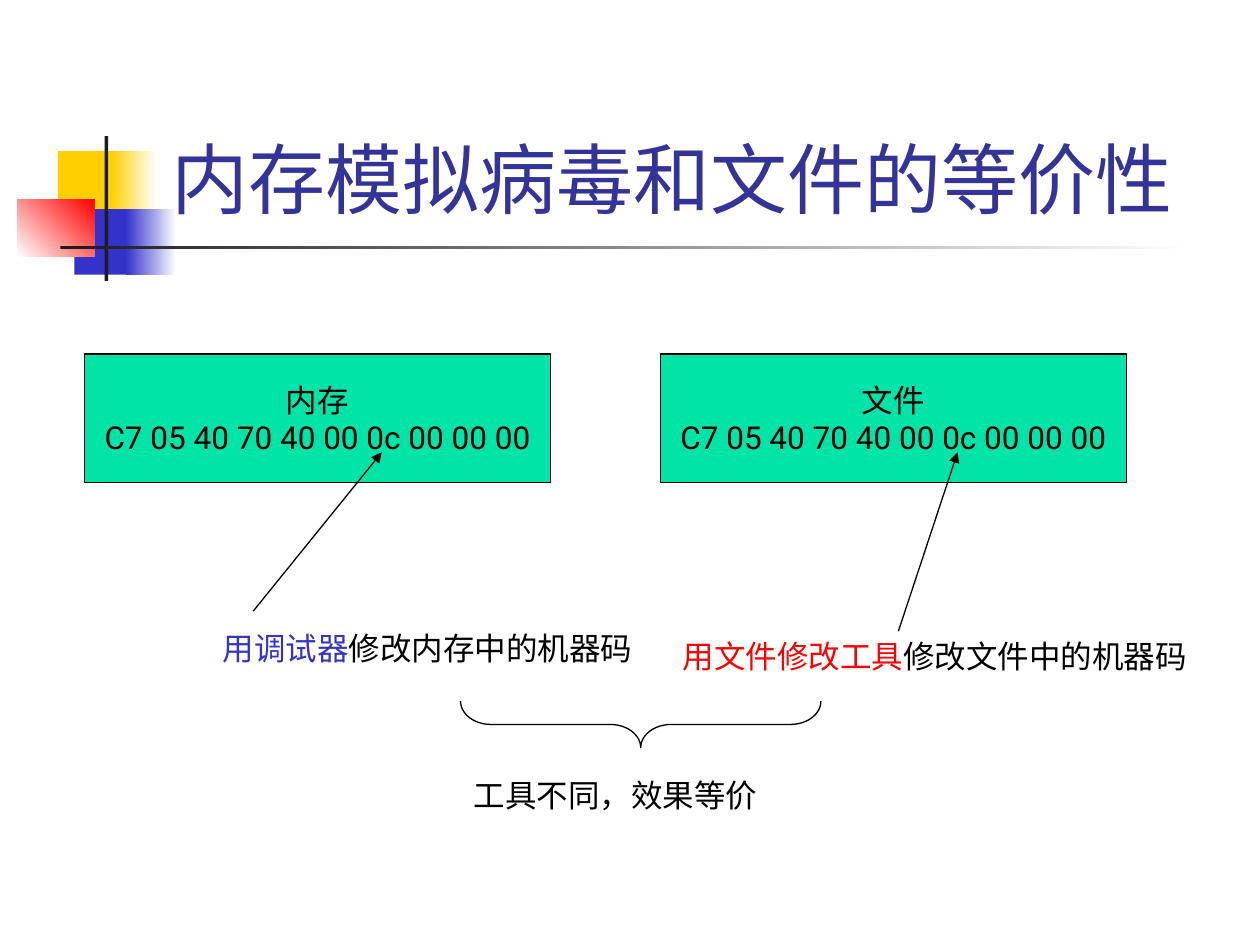
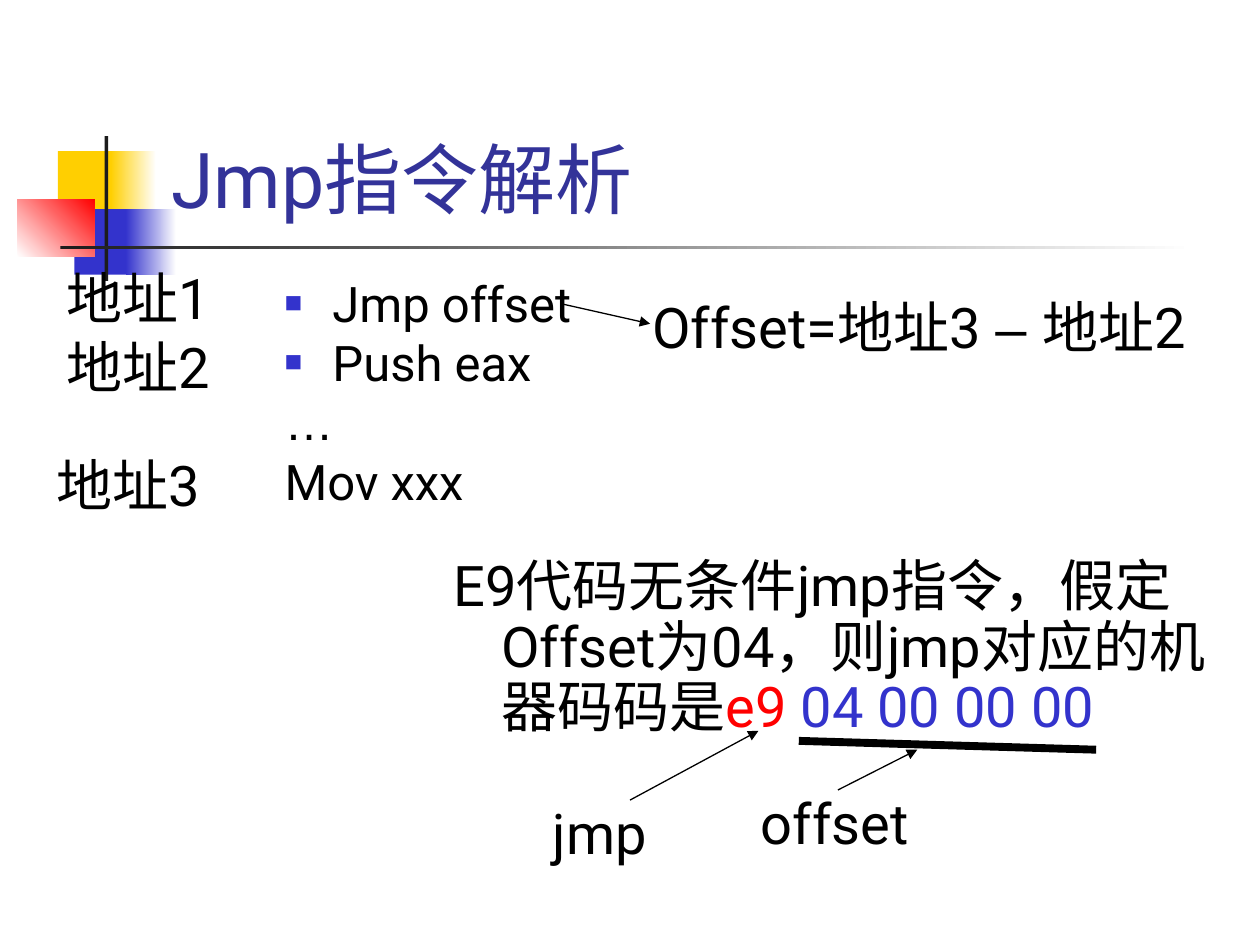
import lxml.etree
import pptx
import pptx.dml.color
import pptx.enum.shapes
import pptx.enum.text
import pptx.oxml.ns
import pptx.util

INCH = pptx.util.Inches
SHAPE = pptx.enum.shapes.MSO_SHAPE
ALIGN = pptx.enum.text.PP_ALIGN
ANCHOR = pptx.enum.text.MSO_ANCHOR
FIT = pptx.enum.text.MSO_AUTO_SIZE

THEME = dict(
    font="Roboto", sign="Arial",
    title="333399", ink="000000", blue="3333CC", red="FF0000",
    gold="FFCF01", dark="1C1C1C", white="FFFFFF", mint="00E4A8",
    head=44, large=32, list=28, small=18, thin=0.75, thick=4.5,
)

# Shared look: place, colours (two make a gradient), angle
DECOR = [
    ((0.46, 1.2, 0.48, 0.52), ["gold"], 0),
    ((0.88, 1.2, 0.36, 0.52), ["gold", "white"], 0),
    ((0.59, 1.66, 0.46, 0.52), ["blue"], 0),
    ((1, 1.66, 0.4, 0.52), ["blue", "white"], 0),
    ((0.14, 1.58, 0.61, 0.46), ["white", "red"], 45),
    ((0.83, 1.08, 0.03, 1.15), ["dark"], 0),
    ((0.48, 1.95, 9, 0.03), ["dark", "white"], 0),
]
TITLE_BOX = (1.26, 0.23, 8.52, 1.6)

# Slide 1: each panel has a name, a left edge, an arrow start and a caption
TITLE_1 = "内存模拟病毒和文件的等价性"
BYTES = "C7 05 40 70 40 00 0c 00 00 00"
PANELS = [
    ("内存", 0.67, (2.01, 4.85), (1.67, 4.94, 3.45, 0.4),
     [("用调试器", "blue"), "修改内存中的机器码"]),
    ("文件", 5.24, (7.13, 5.01), (5.32, 5.01, 4.2, 0.4),
     [("用文件修改工具", "red"), "修改文件中的机器码"]),
]
PANEL_TOP, PANEL_W, PANEL_H = 2.81, 3.7, 1.02
BYTE_X, BYTE_Y = 2.36, 0.78  # the changed byte, inside a panel
BRACE = (4.9, 4.32, 0.37, 2.86)
RESULT = ("工具不同，效果等价", (3.66, 6.11, 2.45, 0.4))

# Slide 2
TITLE_2 = "Jmp指令解析"
CODE_BOX = (2.16, 2.21, 4.18, 2.02)
CODE = [["Jmp offset"], ["Push eax"], [("…", "ink", "sign")], ["Mov xxx"]]
BULLETS = 2
NOTE_H = 0.71
NOTES = [  # left, top, width, runs
    (0.43, 2.1, 2.28, ["地址1"]),
    (0.43, 2.65, 2.28, ["地址2"]),
    (0.35, 3.59, 2.28, ["地址3"]),
    (5.08, 2.33, 4.57, ["Offset=地址3 ", ("– ", "ink", "sign"), "地址2"]),
    (3.5, 4.38, 6.5, ["E9代码无条件jmp指令，假定Offset为04，则jmp对应的机器码码是",
                      ("e9 ", "red"), ("04 00 00 00", "blue")]),
    (4.29, 6.35, 1.57, ["jmp"]),
    (5.94, 6.27, 2.28, ["offset"]),
]
ARROWS = [
    ((4.45, 2.41), (5.16, 2.57)),
    ((5, 6.35), (6.02, 5.8)),
    ((6.65, 6.27), (7.28, 5.95)),
]
UNDERLINE = ((6.34, 5.88), (8.7, 5.95))


def hue(name):
    return pptx.dml.color.RGBColor.from_string(THEME[name])


def inches(nums):
    return [INCH(num) for num in nums]


def add(node, tag, **attrs):
    return lxml.etree.SubElement(node, pptx.oxml.ns.qn(tag), attrs)


def write(frame, paras, size="small", color="ink", align=ALIGN.LEFT,
          anchor=ANCHOR.TOP, wrap=False, hang=0, lead=None, gap=0, bullets=0):
    """Fill a frame; a run is a string or (text, colour, font)."""
    frame.word_wrap, frame.auto_size = wrap, FIT.NONE
    frame.vertical_anchor = anchor
    for i, runs in enumerate(paras):
        para = frame.add_paragraph() if i else frame.paragraphs[0]
        props = para._p.get_or_add_pPr()
        if hang:
            props.set("marL", str(INCH(hang)))
            props.set("indent", str(-INCH(hang)))
        if i < bullets:
            add(add(props, "a:buClr"), "a:srgbClr", val=THEME["blue"])
            add(props, "a:buSzPct", val="60000")
            add(props, "a:buFont", typeface=THEME["sign"])
            add(props, "a:buChar", char="■")
        para.alignment = align
        if lead:
            para.line_spacing = lead
        if i and gap:
            para.space_before = pptx.util.Pt(gap)
        for item in runs:
            item = (item,) if isinstance(item, str) else item
            text, tint, face = item + (color, "font")[len(item) - 1:]
            run = para.add_run()
            run.text = text
            run.font.name = THEME[face]
            run.font.size = pptx.util.Pt(THEME[size])
            run.font.color.rgb = hue(tint)


def label(slide, box, paras, **form):
    write(slide.shapes.add_textbox(*inches(box)).text_frame, paras, **form)


def block(slide, box, fills=(), angle=0, line=None, kind=SHAPE.RECTANGLE):
    shape = slide.shapes.add_shape(kind, *inches(box))
    shape.shadow.inherit = False
    if len(fills) == 2:
        shape.fill.gradient()
        shape.fill.gradient_angle = angle
        for stop, name in zip(shape.fill.gradient_stops, fills):
            stop.color.rgb = hue(name)
    elif fills:
        shape.fill.solid()
        shape.fill.fore_color.rgb = hue(fills[0])
    else:
        shape.fill.background()
    if line:
        shape.line.color.rgb = hue(line)
        shape.line.width = pptx.util.Pt(THEME["thin"])
    else:
        shape.line.fill.background()
    return shape


def link(slide, start, end, width="thin", arrow=True):
    kind = pptx.enum.shapes.MSO_CONNECTOR.STRAIGHT
    line = slide.shapes.add_connector(kind, *inches(start + end))
    line.line.color.rgb = hue("ink")
    line.line.width = pptx.util.Pt(THEME[width])
    if arrow:
        add(line.line._get_or_add_ln(), "a:tailEnd", type="triangle")
    add(line.element.spPr, "a:effectLst")


def start(deck, layout, title):
    slide = deck.slides.add_slide(layout)
    head = slide.shapes.title
    head.left, head.top, head.width, head.height = inches(TITLE_BOX)
    write(head.text_frame, [[title]], size="head", color="title",
          anchor=ANCHOR.BOTTOM, wrap=True)
    return slide


def dress(slide, layout):
    """Draw the shared marks and hand them to the layout."""
    for i, (box, fills, angle) in enumerate(DECOR):
        mark = block(slide, box, fills, angle).element
        mark.nvSpPr.cNvPr.set("id", str(100 + i))
        layout.shapes.element.append(mark)


def compare(slide):
    for name, left, tail, box, runs in PANELS:
        panel = block(slide, (left, PANEL_TOP, PANEL_W, PANEL_H),
                      ["mint"], line="ink")
        write(panel.text_frame, [[name], [BYTES]],
              align=ALIGN.CENTER, anchor=ANCHOR.MIDDLE)
        link(slide, tail, (left + BYTE_X, PANEL_TOP + BYTE_Y))
        label(slide, box, [runs])
    brace = block(slide, BRACE, line="ink", kind=SHAPE.RIGHT_BRACE)
    brace.rotation = 90
    brace.adjustments[0] = 0.65
    text, box = RESULT
    label(slide, box, [[text]])


def explain(slide):
    label(slide, CODE_BOX, CODE, size="list", wrap=True, hang=0.38,
          lead=0.8, gap=7, bullets=BULLETS)
    for left, top, width, runs in NOTES:
        label(slide, (left, top, width, NOTE_H), [runs], size="large",
              wrap=True, hang=0.38, lead=0.9)
    for tail, tip in ARROWS:
        link(slide, tail, tip)
    link(slide, *UNDERLINE, width="thick", arrow=False)


def main():
    deck = pptx.Presentation()
    deck.slide_width, deck.slide_height = inches((10, 7.5))
    layout = deck.slide_layouts.get_by_name("Title Only")
    first = start(deck, layout, TITLE_1)
    dress(first, layout)
    compare(first)
    explain(start(deck, layout, TITLE_2))
    deck.save("out.pptx")


if __name__ == "__main__":
    main()
